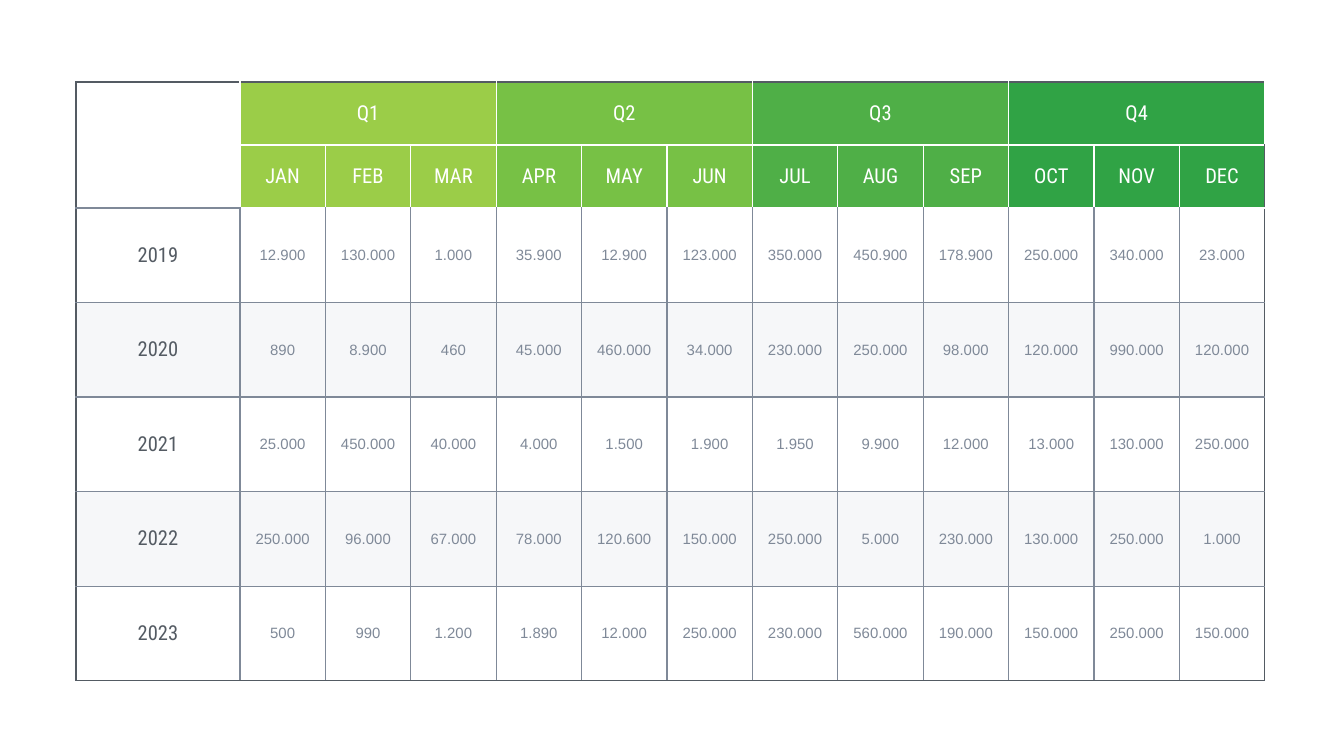
from lxml.etree import SubElement
from pptx import Presentation
from pptx.dml.color import RGBColor
from pptx.enum.text import MSO_ANCHOR, PP_ALIGN
from pptx.oxml.ns import qn
from pptx.util import Inches, Pt

WHITE = RGBColor(0xFF, 0xFF, 0xFF)
DARK = RGBColor(0x54, 0x5B, 0x63)
GREY = RGBColor(0x7F, 0x89, 0x98)
PALE = RGBColor(0xEE, 0xF0, 0xF4)

QUARTERS = [
    ("Q1", RGBColor(0x9B, 0xCD, 0x48), ["JAN", "FEB", "MAR"]),
    ("Q2", RGBColor(0x77, 0xC1, 0x45), ["APR", "MAY", "JUN"]),
    ("Q3", RGBColor(0x4F, 0xAF, 0x47), ["JUL", "AUG", "SEP"]),
    ("Q4", RGBColor(0x30, 0xA3, 0x45), ["OCT", "NOV", "DEC"]),
]
YEARS = [
    ("2019", ["12.900", "130.000", "1.000", "35.900", "12.900", "123.000",
              "350.000", "450.900", "178.900", "250.000", "340.000", "23.000"]),
    ("2020", ["890", "8.900", "460", "45.000", "460.000", "34.000",
              "230.000", "250.000", "98.000", "120.000", "990.000", "120.000"]),
    ("2021", ["25.000", "450.000", "40.000", "4.000", "1.500", "1.900",
              "1.950", "9.900", "12.000", "13.000", "130.000", "250.000"]),
    ("2022", ["250.000", "96.000", "67.000", "78.000", "120.600", "150.000",
              "250.000", "5.000", "230.000", "130.000", "250.000", "1.000"]),
    ("2023", ["500", "990", "1.200", "1.890", "12.000", "250.000",
              "230.000", "560.000", "190.000", "150.000", "250.000", "150.000"]),
]
HEADER_ROWS = 2
MONTHS_PER_QUARTER = 3
ROWS = HEADER_ROWS + len(YEARS)
COLUMNS = 1 + MONTHS_PER_QUARTER * len(QUARTERS)

# Lengths in px
SCALE = 914400 / 134.4
PAGE_WIDTH, PAGE_HEIGHT = 1344, 756
LEFT, TOP = 76, 82
YEAR_WIDTH, MONTHS_WIDTH = 164, 1025
HEADER_HEIGHT, YEARS_HEIGHT = 63, 473


def px(length):
    return round(length * SCALE)


def border_colors(row, column):
    """Colours by side: dark outer frame, white header rules, grey grid."""
    header = row < HEADER_ROWS and column > 0
    inner = WHITE if header else GREY
    below_header = row == HEADER_ROWS and column > 0
    corner = row < HEADER_ROWS and column == 0
    return {
        "a:lnL": DARK if column == 0 else inner,
        "a:lnR": DARK if column == COLUMNS - 1 else WHITE if corner else inner,
        "a:lnT": DARK if row == 0 else WHITE if below_header else inner,
        "a:lnB": DARK if row == ROWS - 1 else inner,
    }


def draw_borders(cell, colors):
    properties = cell._tc.get_or_add_tcPr()
    for tag, color in colors.items():
        line = SubElement(properties, qn(tag), w=str(Pt(0.75)))
        fill = SubElement(line, qn("a:solidFill"))
        SubElement(fill, qn("a:srgbClr"), val=str(color))


def fill_cell(cell, color, opacity=100):
    cell.fill.solid()
    cell.fill.fore_color.rgb = color
    if opacity < 100:
        value = cell._tc.tcPr.find(qn("a:solidFill"))[0]
        SubElement(value, qn("a:alpha"), val=str(opacity * 1000))


def write(cell, text, *, size=11, font="Roboto Condensed", color=WHITE):
    cell.vertical_anchor = MSO_ANCHOR.MIDDLE
    cell.margin_left = cell.margin_right = Inches(0.04)
    cell.margin_top = cell.margin_bottom = Inches(0.02)
    paragraph = cell.text_frame.paragraphs[0]
    paragraph.alignment = PP_ALIGN.CENTER
    span = paragraph.add_run()
    span.text = text
    span.font.size = Pt(size)
    span.font.name = font
    span.font.color.rgb = color


def fill_header(table):
    table.cell(0, 0).merge(table.cell(HEADER_ROWS - 1, 0))
    table.cell(0, 0).fill.background()
    for index, (quarter, color, months) in enumerate(QUARTERS):
        first = 1 + index * MONTHS_PER_QUARTER
        quarter_cell = table.cell(0, first)
        quarter_cell.merge(table.cell(0, first + MONTHS_PER_QUARTER - 1))
        fill_cell(quarter_cell, color)
        write(quarter_cell, quarter)
        for column, month in enumerate(months, first):
            fill_cell(table.cell(1, column), color)
            write(table.cell(1, column), month)


def fill_years(table):
    for row, (year, values) in enumerate(YEARS, HEADER_ROWS):
        banded = row % 2 == 1
        opacity = 50 if banded or row == ROWS - 1 else 100
        for column in range(COLUMNS):
            fill_cell(table.cell(row, column), PALE if banded else WHITE, opacity)
        write(table.cell(row, 0), year, color=DARK)
        for column, value in enumerate(values, 1):
            write(table.cell(row, column), value, size=8, font="Arial", color=GREY)


def main():
    deck = Presentation()
    deck.slide_width, deck.slide_height = px(PAGE_WIDTH), px(PAGE_HEIGHT)
    page = deck.slides.add_slide(deck.slide_layouts[6])

    frame = page.shapes.add_table(
        ROWS, COLUMNS, px(LEFT), px(TOP), px(YEAR_WIDTH + MONTHS_WIDTH),
        px(HEADER_ROWS * HEADER_HEIGHT + YEARS_HEIGHT))
    table = frame.table
    table.first_row = table.horz_banding = False
    for index, column in enumerate(table.columns):
        column.width = px(MONTHS_WIDTH / (COLUMNS - 1) if index else YEAR_WIDTH)
    for index, row in enumerate(table.rows):
        is_header = index < HEADER_ROWS
        row.height = px(HEADER_HEIGHT if is_header else YEARS_HEIGHT / len(YEARS))

    for row in range(ROWS):
        for column in range(COLUMNS):
            draw_borders(table.cell(row, column), border_colors(row, column))
    fill_header(table)
    fill_years(table)
    deck.save("out.pptx")


if __name__ == "__main__":
    main()
